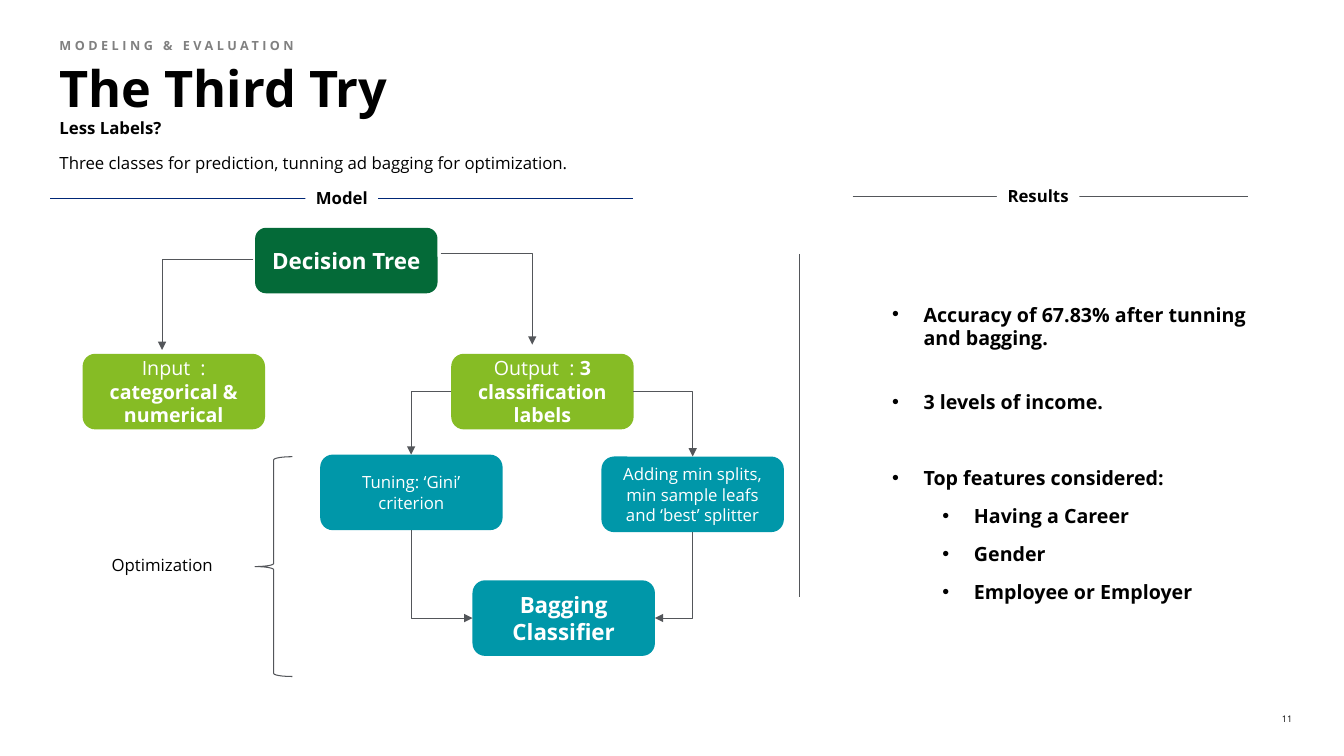
from dataclasses import dataclass
from lxml.etree import SubElement
from pptx import Presentation
from pptx.dml.color import RGBColor
from pptx.enum.shapes import MSO_CONNECTOR, MSO_SHAPE
from pptx.enum.text import MSO_ANCHOR, MSO_AUTO_SIZE, PP_ALIGN
from pptx.oxml.ns import qn
from pptx.util import Pt


@dataclass(frozen=True)
class Theme:
    face: str = "Open Sans"
    black: str = "000000"
    white: str = "FFFFFF"
    gray: str = "808080"
    line: str = "53565A"
    navy: str = "002776"
    forest: str = "046A38"
    lime: str = "86BC25"
    teal: str = "0097A9"
    title: float = 36
    head: float = 16
    list: float = 14
    body: float = 12
    kicker: float = 9
    page: float = 6.5


T = Theme()
TITLE = "The Third Try"
KICKER = "MODELING & EVALUATION"
SUB = "Less Labels?"
LEAD = "Three classes for prediction, tunning ad bagging for optimization."
PAGE = "11"

WIDE, TALL = 130.3, 54
NODES = [
    (182.2, 162.7, 46.8, T.forest, T.head, [("Decision Tree", True)]),
    (59, 252.7, TALL, T.lime, T.list, [("Input  : ", False), ("categorical & numerical", True)]),
    (322.3, 252.7, TALL, T.lime, T.list, [("Output  : ", False), ("3 classification labels", True)]),
    (228.7, 324.7, TALL, T.teal, T.body, [("Tuning: ‘Gini’ criterion", False)]),
    (429.6, 326.1, TALL, T.teal, T.body,
     [("Adding min splits, min sample leafs and ‘best’ splitter", False)]),
    (337.5, 414.5, TALL, T.teal, T.head, [("Bagging Classifier", True)]),
]
ACROSS = [
    (314.8, 181.2, 380.2, 246.2),
    (181, 185.5, 115.8, 250),
    (322.3, 279.5, 293.7, 324.7),
    (452.4, 279.5, 494.8, 326.1),
]
DOWN = [
    (293.7, 378.7, 337.5, 441.5),
    (494.8, 380.1, 467.8, 441.5),
]
RULES = [
    (609, 140.3, 891.2, 140.3, T.line, 0.75),
    (36, 141.6, 452.2, 141.6, T.navy, 1),
    (571, 181.4, 571, 426.5, T.line, 0.75),
]
LABELS = [
    ("Model", 218.2, 134.4, 51.8, True),
    ("Results", 712, 132.7, 59, True),
    ("Optimization", 72, 396, 87.8, False),
]
RESULTS = [
    ("Accuracy of 67.83% after tunning and bagging.", 0, 1, 2),
    ("3 levels of income.", 0, 1.5, 20.6),
    ("Top features considered:", 0, 1.5, 29),
    ("Having a Career", 1, 1.5, 2),
    ("Gender", 1, 1.5, 2),
    ("Employee or Employer", 1, 1.5, 2),
]
HANG, STEP = 22.5, 36


def style(run, size, color, bold=False):
    font = run.font
    font.name, font.size, font.bold = T.face, Pt(size), bold
    font.color.rgb = RGBColor.from_string(color)


def place(shape, x, y, w, h):
    shape.left, shape.top, shape.width, shape.height = Pt(x), Pt(y), Pt(w), Pt(h)


def frame(shape, anchor=MSO_ANCHOR.TOP, side=0, edge=0, wrap=True):
    text = shape.text_frame
    text.auto_size = MSO_AUTO_SIZE.NONE
    text.word_wrap, text.vertical_anchor = wrap, anchor
    text.margin_left = text.margin_right = Pt(side)
    text.margin_top = text.margin_bottom = Pt(edge)
    return text


def indent(para, left, hang, mark=None):
    props = para._p.get_or_add_pPr()
    props.set("marL", str(Pt(left)))
    props.set("indent", str(Pt(-hang)))
    if mark:
        SubElement(props, qn("a:buFont")).set("typeface", "Arial")
        SubElement(props, qn("a:buChar")).set("char", mark)
    else:
        SubElement(props, qn("a:buNone"))


def write(shape, words, size, color, bold=False, space=1, anchor=MSO_ANCHOR.TOP,
          align=PP_ALIGN.LEFT):
    para = frame(shape, anchor).paragraphs[0]
    para.text = words
    para.alignment, para.line_spacing = align, space
    para.space_before = Pt(0)
    indent(para, 0, 0)
    style(para.runs[0], size, color, bold)
    return para.runs[0]


def block(slide, kind, x, y, w, h, fill=None):
    shape = slide.shapes.add_shape(kind, Pt(x), Pt(y), Pt(w), Pt(h))
    shape.shadow.inherit = False
    shape.line.fill.background()
    if fill:
        shape.fill.solid()
        shape.fill.fore_color.rgb = RGBColor.from_string(fill)
    else:
        shape.fill.background()
    return shape


def stroke(line, color, width):
    line.color.rgb = RGBColor.from_string(color)
    line.width = Pt(width)


def link(slide, ends, color=T.line, width=0.75, kind=MSO_CONNECTOR.STRAIGHT):
    wire = slide.shapes.add_connector(kind, *map(Pt, ends))
    stroke(wire.line, color, width)
    SubElement(wire.element.spPr, qn("a:effectLst"))
    return wire


def elbow(slide, ends, turn=0):
    wire = link(slide, ends, kind=MSO_CONNECTOR.ELBOW)
    props = wire.element.spPr
    props.find(qn("a:prstGeom")).set("prst", "bentConnector2")
    if turn:
        props.find(qn("a:xfrm")).set("rot", str(turn * 60000))
    SubElement(props.find(qn("a:ln")), qn("a:tailEnd")).set("type", "triangle")


def drop(slide, ends):
    x1, y1, x2, y2 = ends
    midx, midy = (x1 + x2) / 2, (y1 + y2) / 2
    long, short = (y2 - y1) / 2, abs(x2 - x1) / 2
    side, turn = (1, 270) if x2 > x1 else (-1, 90)
    elbow(slide, (midx + side * long, midy - short, midx - side * long, midy + short), turn)


def build():
    deck = Presentation()
    deck.slide_width, deck.slide_height = Pt(960), Pt(540)
    slide = deck.slides.add_slide(deck.slide_layouts[4])
    title, kicker, sub, lead, points = slide.placeholders

    place(title, 42.5, 43.9, 886.3, 39.6)
    write(title, TITLE, T.title, T.black, True, 0.8, MSO_ANCHOR.BOTTOM)
    place(kicker, 42.5, 27.4, 370, 13.7)
    run = write(kicker, KICKER, T.kicker, T.gray, True)
    run.font._element.set("spc", "250")
    place(sub, 42.5, 84.2, 889.2, 14.4)
    write(sub, SUB, T.body, T.black, True)
    place(lead, 42.5, 109.4, 889.2, 24)
    write(lead, LEAD, T.body, T.black)

    place(points, 637.2, 216, 253.4, 215.3)
    text = frame(points)
    text.text = "\n".join(row[0] for row in RESULTS)
    for para, (_, level, space, before) in zip(text.paragraphs, RESULTS):
        para.level, para.line_spacing = level, space
        para.space_before, para.alignment = Pt(before), PP_ALIGN.LEFT
        indent(para, HANG + level * STEP, HANG, "•")
        style(para.runs[0], T.list, T.black, True)

    for *ends, color, width in RULES:
        link(slide, ends, color, width)
    for words, x, y, w, bold in LABELS:
        label = block(slide, MSO_SHAPE.RECTANGLE, x, y, w, 14.4, T.white)
        para = frame(label, MSO_ANCHOR.MIDDLE, 7.2, wrap=False).paragraphs[0]
        para.text, para.alignment = words, PP_ALIGN.CENTER
        style(para.runs[0], T.body, T.black, bold)
    for x, y, h, fill, size, parts in NODES:
        node = block(slide, MSO_SHAPE.FLOWCHART_ALTERNATE_PROCESS, x, y, WIDE, h, fill)
        para = frame(node, MSO_ANCHOR.MIDDLE, 7.2, 3.6).paragraphs[0]
        para.alignment = PP_ALIGN.CENTER
        for words, bold in parts:
            run = para.add_run()
            run.text = words
            style(run, size, T.white, bold)
    for ends in ACROSS:
        elbow(slide, ends)
    for ends in DOWN:
        drop(slide, ends)
    brace = block(slide, MSO_SHAPE.LEFT_BRACE, 182.2, 326.2, 26.6, 157)
    stroke(brace.line, T.line, 0.75)

    page = slide.shapes.add_textbox(Pt(898.6), Pt(509.8), Pt(24.5), Pt(8))
    write(page, PAGE, T.page, T.black, align=PP_ALIGN.RIGHT)
    deck.save("out.pptx")


if __name__ == "__main__":
    build()
